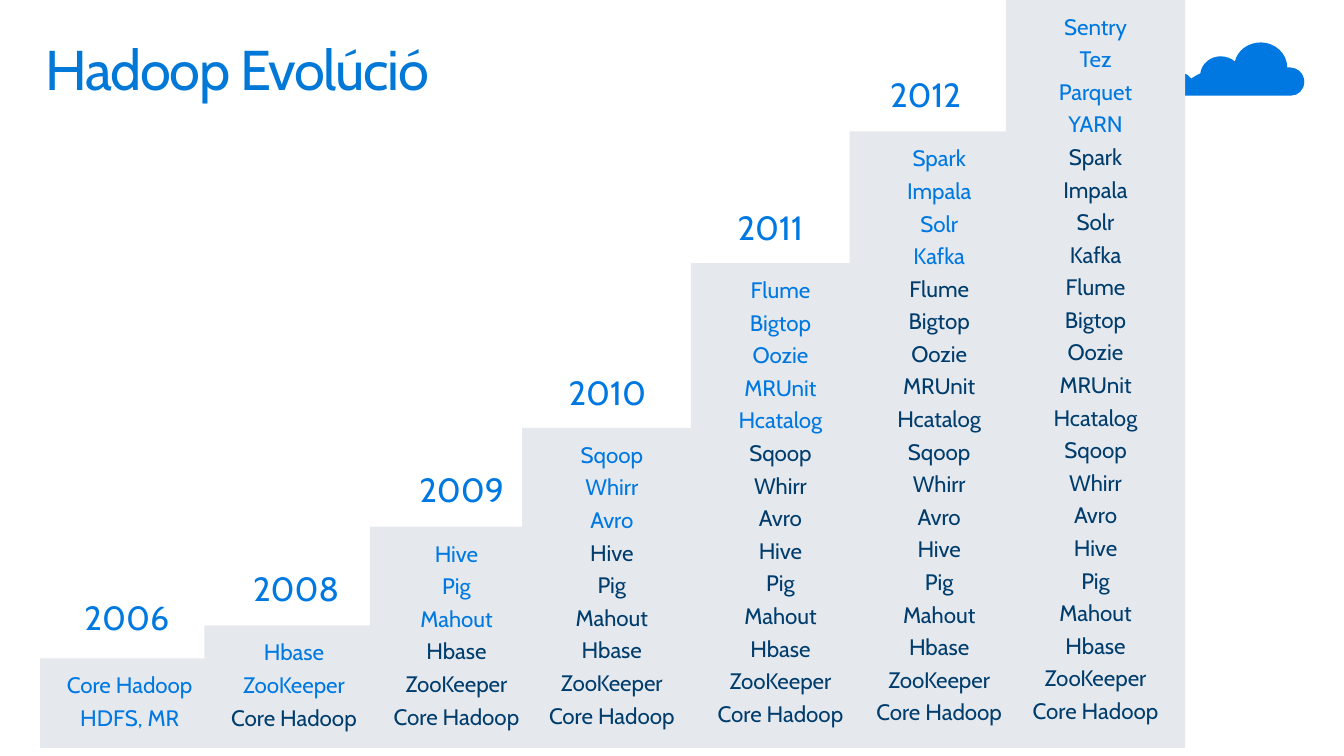
from dataclasses import dataclass

import lxml.etree
import pptx
import pptx.dml.color
import pptx.enum.shapes
import pptx.enum.text
import pptx.oxml.ns
import pptx.util

Cm = pptx.util.Cm
RGBColor = pptx.dml.color.RGBColor
PP_ALIGN = pptx.enum.text.PP_ALIGN
qn = pptx.oxml.ns.qn

BLUE = RGBColor(0x00, 0x78, 0xE1)
TITLE_BLUE = RGBColor(0x00, 0x78, 0xD7)
NAVY = RGBColor(0x00, 0x3C, 0x6C)
GREY = RGBColor(0xE5, 0xE9, 0xEE)

FONT = "Cabin"
BOTTOM = 18.85
ROW = 0.83
PADDING = 0.6


@dataclass
class Step:
    left: float
    added: list[str]
    year: str = ""
    year_left: float = 0
    year_top: float = 0
    width: float = 4.52


STEPS = [
    Step(1.01, ["Core Hadoop", "HDFS, MR"], "2006", 1.62, 14.75),
    Step(5.15, ["Hbase", "ZooKeeper"], "2008", 5.87, 14.02),
    Step(9.32, ["Hive", "Pig", "Mahout"], "2009", 10.06, 11.53, 4.37),
    Step(13.16, ["Sqoop", "Whirr", "Avro"], "2010", 13.82, 9.07),
    Step(17.41, ["Flume", "Bigtop", "Oozie", "MRUnit", "Hcatalog"], "2011", 18.08, 4.93),
    Step(21.41, ["Spark", "Impala", "Solr", "Kafka"], "2012", 21.92, 1.58),
    Step(25.35, ["Sentry", "Tez", "Parquet", "YARN"]),
]

# Cloud outline in cm: two control points and an end point, or the end of a straight line
CLOUD_START = (32.51, 1.70)
CLOUD_PARTS = [
    ((32.49, 1.70), (32.46, 1.70), (32.44, 1.70)),
    ((32.44, 1.35), (32.13, 1.07), (31.78, 1.07)),
    ((31.45, 1.07), (31.19, 1.27), (31.12, 1.55)),
    ((31.04, 1.47), (30.89, 1.42), (30.76, 1.42)),
    ((30.51, 1.42), (30.28, 1.60), (30.25, 1.85)),
    ((30.18, 1.88), (30.10, 1.93), (30.02, 1.98)),
    ((29.97, 1.91), (29.90, 1.85), (29.79, 1.85)),
    ((29.64, 1.85), (29.51, 1.98), (29.51, 2.13)),
    ((29.51, 2.29), (29.64, 2.41), (29.79, 2.41)),
    ((32.54, 2.41),),
    ((32.72, 2.41), (32.87, 2.26), (32.87, 2.06)),
    ((32.87, 1.85), (32.69, 1.70), (32.51, 1.70)),
]


def set_frame(tf, side: float, top: float, grow: bool = True) -> None:
    tf.word_wrap = True
    tf.vertical_anchor = pptx.enum.text.MSO_ANCHOR.TOP
    tf.margin_left = tf.margin_right = Cm(side)
    tf.margin_top = tf.margin_bottom = Cm(top)
    sizes = pptx.enum.text.MSO_AUTO_SIZE
    tf.auto_size = sizes.SHAPE_TO_FIT_TEXT if grow else sizes.NONE


def write(p, text: str, *, size: float, color: RGBColor, align=PP_ALIGN.LEFT,
          after: float = 6, spacing: int = 0) -> None:
    p.alignment = align
    p.line_spacing = 0.9
    p.space_before = pptx.util.Pt(0)
    p.space_after = pptx.util.Pt(after)
    r = p.add_run()
    r.text = text
    r.font.name = FONT
    r.font.size = pptx.util.Pt(size)
    r.font.color.rgb = color
    if spacing:
        r._r.get_or_add_rPr().set("spc", str(spacing))


def paint(sp, color: RGBColor) -> None:
    sp.shadow.inherit = False
    sp.fill.solid()
    sp.fill.fore_color.rgb = color
    sp.line.fill.background()


def add_cloud(s) -> None:
    builder = s.shapes.build_freeform(Cm(CLOUD_START[0]), Cm(CLOUD_START[1]))
    builder.add_line_segments([(Cm(part[-1][0]), Cm(part[-1][1])) for part in CLOUD_PARTS])
    sp = builder.convert_to_shape()
    paint(sp, BLUE)
    # Bend the straight segments into Bézier curves
    for line, part in zip(list(sp._element.iter(qn("a:lnTo"))), CLOUD_PARTS):
        if len(part) == 1:
            continue
        curve = lxml.etree.Element(qn("a:cubicBezTo"))
        for x, y in part:
            lxml.etree.SubElement(curve, qn("a:pt"), x=str(Cm(x) - sp.left),
                                  y=str(Cm(y) - sp.top))
        line.getparent().replace(line, curve)


def add_column(s, step: Step, earlier: list[str]) -> None:
    names = step.added + earlier
    height = PADDING + ROW * len(names)
    sp = s.shapes.add_shape(pptx.enum.shapes.MSO_SHAPE.RECTANGLE, Cm(step.left),
                            Cm(BOTTOM - height), Cm(step.width), Cm(height))
    paint(sp, GREY)
    tf = sp.text_frame
    set_frame(tf, 0.51, 0.41)
    for i, name in enumerate(names):
        p = tf.add_paragraph() if i else tf.paragraphs[0]
        color = BLUE if i < len(step.added) else NAVY
        write(p, name, size=16, color=color, align=PP_ALIGN.CENTER)


def add_year(s, step: Step) -> None:
    sp = s.shapes.add_textbox(Cm(step.year_left), Cm(step.year_top), Cm(3.71), Cm(1.75))
    set_frame(sp.text_frame, 0.51, 0.41)
    write(sp.text_frame.paragraphs[0], step.year, size=24, color=BLUE)


def main() -> None:
    prs = pptx.Presentation()
    prs.slide_width, prs.slide_height = Cm(33.87), Cm(19.05)
    s = prs.slides.add_slide(prs.slide_layouts[5])

    # Title
    title = s.shapes.title
    title.left, title.top, title.width, title.height = Cm(0.74), Cm(0.81), Cm(32.39), Cm(2.49)
    set_frame(title.text_frame, 0.41, 0.25, grow=False)
    write(title.text_frame.paragraphs[0], "Hadoop Evolúció", size=40,
          color=TITLE_BLUE, after=0, spacing=-100)

    # Cloud, partly behind the last column
    add_cloud(s)

    # Columns: every year puts its new projects on top of the earlier ones
    earlier: list[str] = []
    for step in STEPS:
        add_column(s, step, earlier)
        earlier = step.added + earlier if earlier else step.added[:1]

    # Year labels
    for step in STEPS:
        if step.year:
            add_year(s, step)

    prs.save("out.pptx")


if __name__ == "__main__":
    main()
